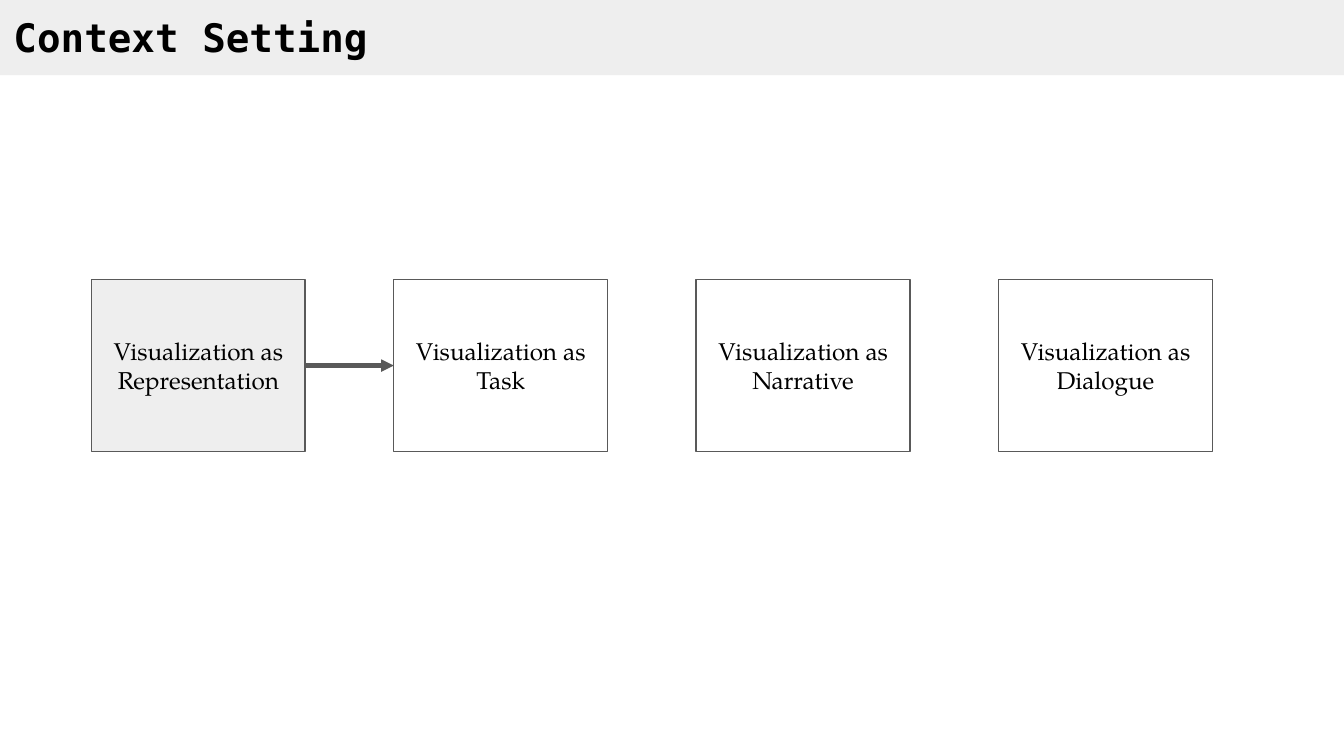
from dataclasses import dataclass

from pptx import Presentation
from pptx.dml.color import RGBColor
from pptx.enum.shapes import MSO_CONNECTOR, MSO_SHAPE
from pptx.enum.text import MSO_ANCHOR, MSO_AUTO_SIZE, PP_ALIGN
from pptx.oxml.ns import qn
from pptx.shapes.autoshape import Shape
from pptx.shapes.connector import Connector
from pptx.slide import Slide
from pptx.text.text import TextFrame
from pptx.util import Inches, Pt
from lxml.etree import SubElement

COLORS = {"text": "000000", "shade": "EEEEEE", "plain": "FFFFFF", "line": "595959"}
TITLE_FONT = "DejaVu Sans Mono"
BODY_FONT = "TeX Gyre Pagella"

STAGE_LEFT, STAGE_TOP = 0.68, 2.08
STAGE_WIDTH, STAGE_HEIGHT = 1.59, 1.28
STAGE_PITCH = 2.25
RIGHT_SIDE, LEFT_SIDE = 3, 1


@dataclass(frozen=True)
class Stage:
    label: str
    fill: str = "plain"


STAGES = [
    Stage("Visualization as Representation", fill="shade"),
    Stage("Visualization as Task"),
    Stage("Visualization as Narrative"),
    Stage("Visualization as Dialogue"),
]


def color(name: str) -> RGBColor:
    return RGBColor.from_string(COLORS[name])


def write_text(frame: TextFrame, text: str, *, font: str, size: float,
               bold: bool = False, align: PP_ALIGN = PP_ALIGN.LEFT,
               anchor: MSO_ANCHOR = MSO_ANCHOR.TOP) -> None:
    frame.word_wrap = True
    frame.vertical_anchor = anchor
    frame.margin_left = frame.margin_right = Inches(0.1)
    frame.margin_top = frame.margin_bottom = Inches(0.1)
    para = frame.paragraphs[0]
    para.alignment = align
    span = para.add_run()
    span.text = text
    span.font.name = font
    span.font.size = Pt(size)
    span.font.bold = bold
    span.font.color.rgb = color("text")


def add_box(page: Slide, left: float, top: float, width: float, height: float,
            fill: str) -> Shape:
    box = page.shapes.add_shape(MSO_SHAPE.RECTANGLE, Inches(left), Inches(top),
                                Inches(width), Inches(height))
    box.shadow.inherit = False
    box.fill.solid()
    box.fill.fore_color.rgb = color(fill)
    box.line.fill.background()
    return box


def add_header(page: Slide, text: str) -> None:
    banner = add_box(page, -0.01, 0, 10.02, 0.56, "shade")
    title = page.shapes.title
    title._element.addprevious(banner._element)  # banner lies behind the title
    title.left, title.top = Inches(0), Inches(0)
    title.width, title.height = Inches(9.86), Inches(0.56)
    write_text(title.text_frame, text, font=TITLE_FONT, size=21, bold=True)
    title.text_frame.auto_size = MSO_AUTO_SIZE.SHAPE_TO_FIT_TEXT


def add_stage(page: Slide, stage: Stage, column: int) -> Shape:
    box = add_box(page, STAGE_LEFT + column * STAGE_PITCH, STAGE_TOP,
                  STAGE_WIDTH, STAGE_HEIGHT, stage.fill)
    box.line.color.rgb = color("line")
    box.line.width = Pt(0.75)
    write_text(box.text_frame, stage.label, font=BODY_FONT, size=13,
               align=PP_ALIGN.CENTER, anchor=MSO_ANCHOR.MIDDLE)
    return box


def add_arrow(page: Slide, start: Shape, end: Shape) -> Connector:
    arrow = page.shapes.add_connector(MSO_CONNECTOR.STRAIGHT, 0, 0, 0, 0)
    arrow.begin_connect(start, RIGHT_SIDE)
    arrow.end_connect(end, LEFT_SIDE)
    arrow.line.color.rgb = color("line")
    arrow.line.width = Pt(2.25)
    SubElement(arrow.line._get_or_add_ln(), qn("a:tailEnd"), type="triangle")
    SubElement(arrow._element.spPr, qn("a:effectLst"))
    return arrow


def main() -> None:
    deck = Presentation()
    deck.slide_width = Inches(10)
    deck.slide_height = Inches(10 * 9 / 16)  # widescreen
    page = deck.slides.add_slide(deck.slide_layouts[5])
    add_header(page, "Context Setting")
    boxes = [add_stage(page, stage, column) for column, stage in enumerate(STAGES)]
    add_arrow(page, boxes[0], boxes[1])
    deck.save("out.pptx")


if __name__ == "__main__":
    main()
